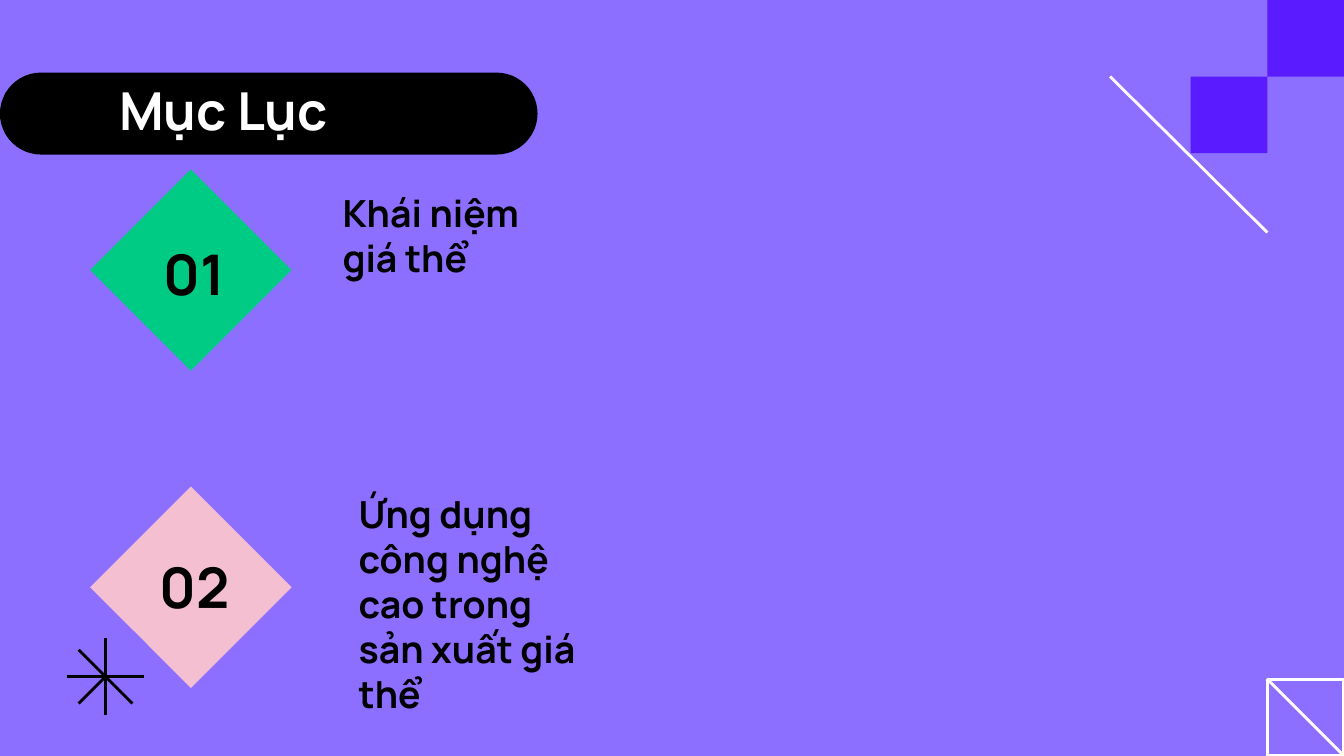
from lxml import etree
from pptx import Presentation
from pptx.dml.color import RGBColor
from pptx.enum.shapes import MSO_CONNECTOR, MSO_SHAPE
from pptx.enum.text import MSO_ANCHOR, PP_ALIGN
from pptx.oxml.ns import qn
from pptx.util import Inches, Pt

COLORS = {
    "background": "8D6FFF",
    "square": "5A1CFE",
    "black": "000000",
    "white": "FFFFFF",
    "green": "00CB84",
    "pink": "F3BFD1",
}
FONT = "Manrope"
WIDTH = 10
HEIGHT = WIDTH * 9 / 16
TILE = 0.57


def rgb(name):
    """Return the named colour."""
    return RGBColor.from_string(COLORS[name])


def add_box(s, kind, x, y, w, h, fill=None, line=None):
    """Add a flat preset shape."""
    sp = s.shapes.add_shape(kind, Inches(x), Inches(y), Inches(w), Inches(h))
    sp.shadow.inherit = False
    if fill:
        sp.fill.solid()
        sp.fill.fore_color.rgb = rgb(fill)
    else:
        sp.fill.background()
    if line:
        sp.line.color.rgb = rgb(line)
        sp.line.width = Pt(1.5)
    else:
        sp.line.fill.background()
    return sp


def add_line(s, x1, y1, x2, y2, color):
    """Add a straight line without a shadow."""
    ln = s.shapes.add_connector(
        MSO_CONNECTOR.STRAIGHT, Inches(x1), Inches(y1), Inches(x2), Inches(y2))
    ln.line.color.rgb = rgb(color)
    ln.line.width = Pt(1.5)
    etree.SubElement(ln._element.spPr, qn("a:effectLst"))


def add_text(s, text, x, y, w, h, size, color="black", align=PP_ALIGN.LEFT):
    """Add a wrapped bold text box, centred vertically."""
    tb = s.shapes.add_textbox(Inches(x), Inches(y), Inches(w), Inches(h))
    tf = tb.text_frame
    tf.word_wrap = True
    tf.vertical_anchor = MSO_ANCHOR.MIDDLE
    tf.margin_left = tf.margin_right = Inches(0.1)
    tf.margin_top = tf.margin_bottom = Inches(0.1)
    p = tf.paragraphs[0]
    p.text = text
    p.alignment = align
    for r in p.runs:
        r.font.name = FONT
        r.font.size = Pt(size)
        r.font.bold = True
        r.font.color.rgb = rgb(color)


def add_top_corner(s, right, top):
    """Draw the stepped squares and the diagonal in the top right corner."""
    for col, row in ((2, 1), (1, 0)):
        add_box(s, MSO_SHAPE.RECTANGLE, right - col * TILE, top + row * TILE,
                TILE, TILE, fill="square")
    add_line(s, right - 1.74, top + TILE, right - TILE, top + 1.73, "white")


def add_bottom_corner(s, right, bottom):
    """Draw the outlined square with its diagonal in the bottom right corner."""
    x, y = right - TILE, bottom - TILE
    add_box(s, MSO_SHAPE.RECTANGLE, x, y, TILE, TILE, line="white")
    add_line(s, x, y, right, bottom, "white")


def add_star(s, x, y, size):
    """Draw the star of thin lines in a square box."""
    half, arm = size / 2, 0.2
    cx, cy = x + half, y + half
    add_line(s, cx, y, cx, y + size, "black")
    add_line(s, x, cy, x + size, cy, "black")
    add_line(s, cx - arm, cy - arm, cx + arm, cy + arm, "black")
    add_line(s, cx - arm, cy + arm, cx, cy, "black")


def add_heading(s, text, x, y, w, h):
    """Draw the heading on its pill."""
    pill = add_box(s, MSO_SHAPE.ROUNDED_RECTANGLE, x, y, w, h, fill="black")
    pill.adjustments[0] = 0.5
    add_text(s, text, x + 0.79, y + 0.05, 8.43, 0.45, 28, "white")


def add_item(s, number, text, color, x, y, number_box, text_at):
    """Draw a numbered diamond with its topic, both offset from the diamond."""
    diamond = add_box(s, MSO_SHAPE.RECTANGLE, x, y, 1.06, 1.06, fill=color)
    diamond.rotation = 45
    dx, dy, w, h = number_box
    add_text(s, number, x + dx, y + dy, w, h, 30, align=PP_ALIGN.CENTER)
    add_text(s, text, x + text_at[0], y + text_at[1], 2.15, 0.52, 20)


def main():
    """Build the contents slide."""
    prs = Presentation()
    prs.slide_width, prs.slide_height = Inches(WIDTH), Inches(HEIGHT)
    s = prs.slides.add_slide(prs.slide_layouts[6])
    s.background.fill.solid()
    s.background.fill.fore_color.rgb = rgb("background")
    add_top_corner(s, WIDTH, 0)
    add_bottom_corner(s, WIDTH, HEIGHT)
    add_star(s, 0.5, 4.75, TILE)
    add_heading(s, "Mục Lục", 0, 0.54, 4, 0.61)
    add_item(s, "01", "Khái niệm\vgiá thể", "green", 0.89, 1.48,
             (0.06, 0.13, 0.99, 0.84), (1.56, 0.01))
    add_item(s, "02", "Ứng dụng công nghệ cao trong\vsản xuất giá thể", "pink",
             0.89, 3.84, (0.18, 0.14, 0.76, 0.76), (1.68, 0.39))
    prs.save("out.pptx")


if __name__ == "__main__":
    main()
